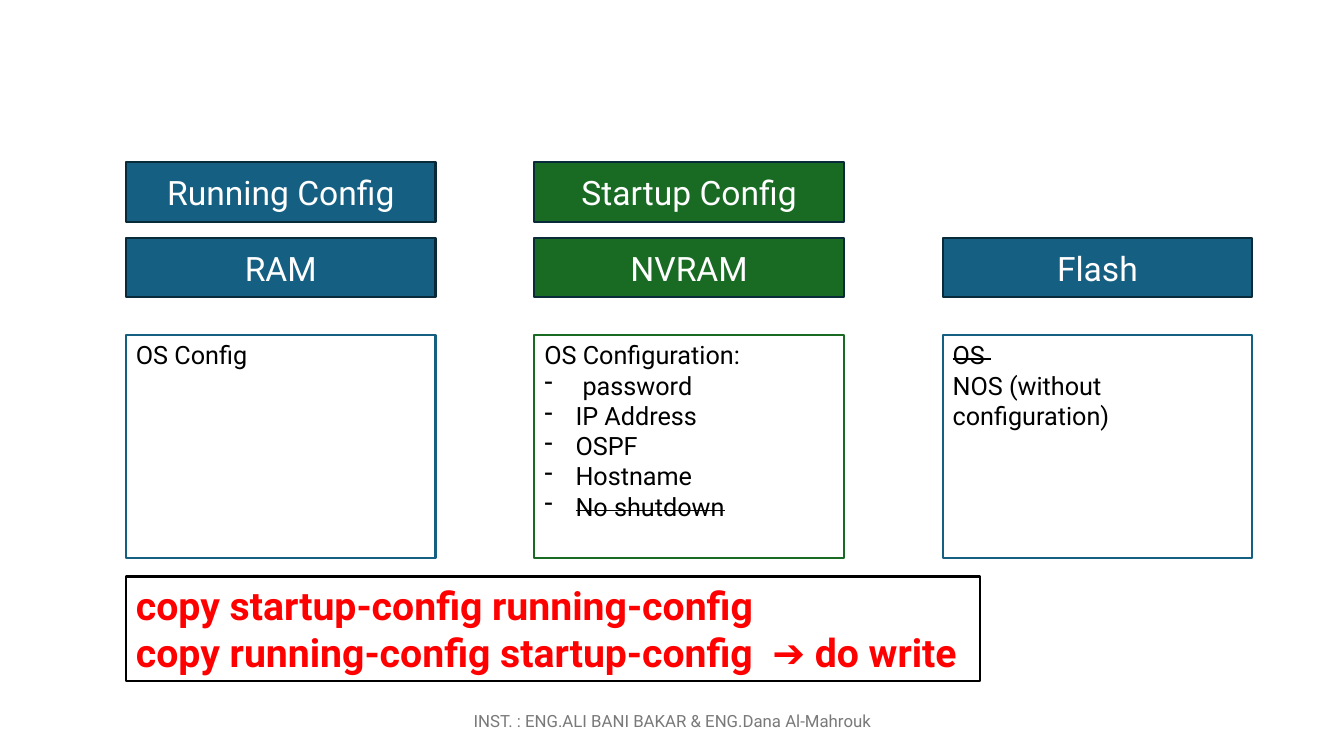
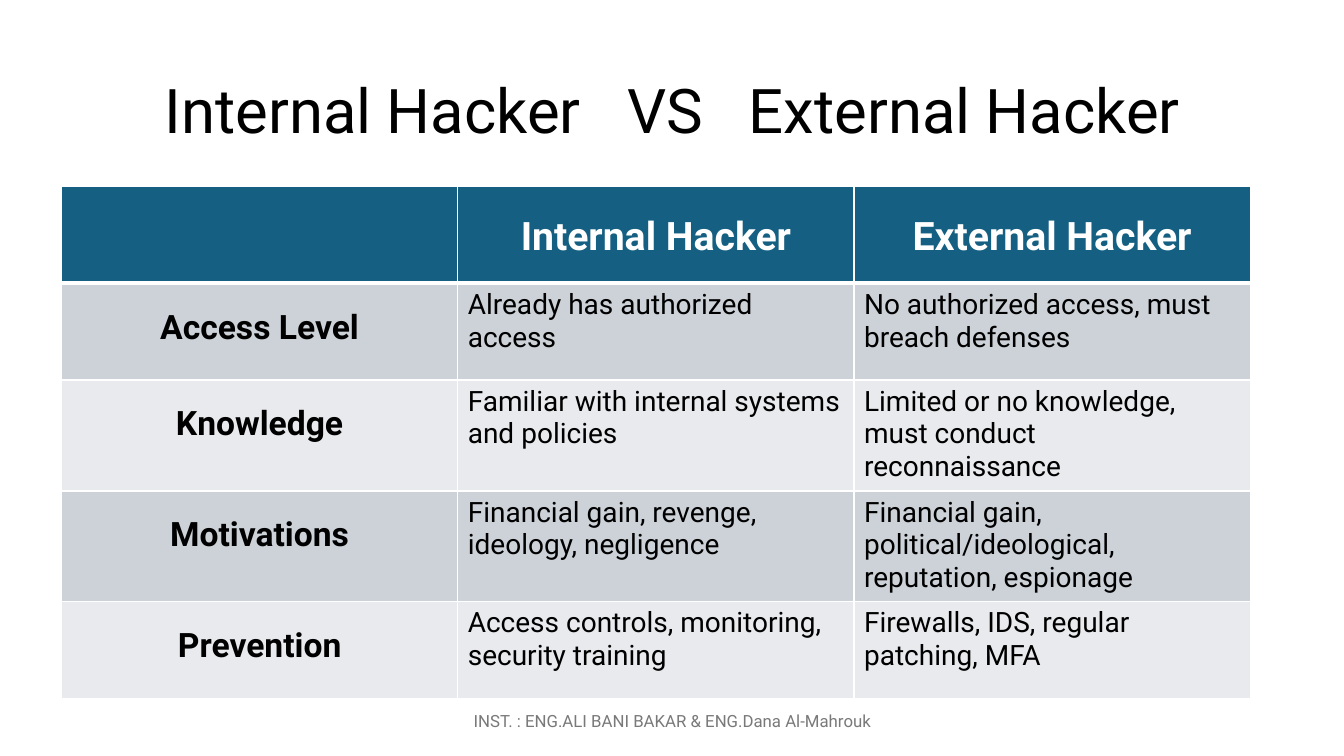
from lxml import etree
from pptx import Presentation, util as u
from pptx.dml.color import RGBColor
from pptx.enum import shapes, text
from pptx.oxml import ns

HUE = {"blue": "156082", "green": "196B24", "edge": "092A39", "white": "FFFFFF",
       "black": "000000", "red": "FF0000", "gray": "797979",
       "dark": "CCD2D8", "light": "E8EAED"}
FONT = "Roboto"
FOOT = "INST. : ENG.ALI BANI BAKAR & ENG.Dana Al-Mahrouk"

# Text styles
HEAD = {"size": 24, "hue": "white", "align": "CENTER", "anchor": "MIDDLE"}
BODY = {"size": 18, "hue": "black"}
CODE = {"size": 28, "hue": "red", "bold": True}
NOTE = {"size": 12, "hue": "gray", "align": "CENTER", "anchor": "MIDDLE"}
TITLE = {"size": 44, "hue": "black", "align": "CENTER", "anchor": "MIDDLE",
         "line": 0.9}
TOP = {"size": 28, "hue": "white", "bold": True, "align": "CENTER", "line": 1.5}
SIDE = {"size": 24, "hue": "black", "bold": True, "align": "CENTER", "line": 1.5}
CELL = {"size": 20, "hue": "black", "bold": False}

# A paragraph is (runs, dash indent); a run is (words, extra format)
CUT = {"strike": "sngStrike"}
MEMORY = [
    ("blue", ["Running Config", "RAM"], [([("OS Config", {})], 0)]),
    ("green", ["Startup Config", "NVRAM"], [
        ([("OS Configuration:", {})], 0),
        ([("password", {})], 0.38),
        ([("IP Address", {})], 0.31),
        ([("OSPF", {})], 0.31),
        ([("Hostname", {})], 0.31),
        ([("No shutdown", CUT)], 0.31)]),
    ("blue", [None, "Flash"], [
        ([("OS ", CUT)], 0),
        ([("NOS (without configuration)", {})], 0)]),
]
COPY = [
    ([("copy startup-config running-config", {})], 0),
    ([("copy running-config startup-config", {}), (" ", {"spc": "690"}),
      ("➔ do write", {})], 0),
]
WIDE = {"spc": "2180"}
VERSUS = [([("Internal Hacker", {}), (" ", WIDE), ("VS", {}), (" ", WIDE),
            ("External Hacker", {})], 0)]
ROWS = [
    ("", "Internal Hacker", "External Hacker"),
    ("Access Level", "Already has authorized access",
     "No authorized access, must breach defenses"),
    ("Knowledge", "Familiar with internal systems and policies",
     "Limited or no knowledge, must conduct reconnaissance"),
    ("Motivations", "Financial gain, revenge, ideology, negligence",
     "Financial gain, political/ideological, reputation, espionage"),
    ("Prevention", "Access controls, monitoring, security training",
     "Firewalls, IDS, regular patching, MFA"),
]


def color(name):
    return RGBColor.from_string(HUE[name])


def plain(words):
    return [([(words, {})], 0)]


def dash(para, indent):
    props = para._p.get_or_add_pPr()
    props.set("marL", str(u.Inches(indent)))
    props.set("indent", str(-u.Inches(indent)))
    etree.SubElement(props, ns.qn("a:buChar")).set("char", "-")


def write(frame, paras, style):
    for num, (runs, indent) in enumerate(paras):
        para = frame.add_paragraph() if num else frame.paragraphs[0]
        para.alignment = getattr(text.PP_ALIGN, style.get("align", "LEFT"))
        if "line" in style:
            para.line_spacing = style["line"]
        if indent:
            dash(para, indent)
        for words, extra in runs:
            run = para.add_run()
            run.text = words
            form = {"name": FONT, "size": u.Pt(style["size"]),
                    "bold": style.get("bold", False)}
            for key, val in form.items():
                setattr(run.font, key, val)
            run.font.color.rgb = color(style["hue"])
            for key, val in extra.items():
                run._r.get_or_add_rPr().set(key, val)


def box(slide, at, paras, style, fill=None, line=None):
    area = [u.Inches(n) for n in at]
    if fill:
        shape = slide.shapes.add_shape(shapes.MSO_SHAPE.RECTANGLE, *area)
        shape.shadow.inherit = False
        shape.fill.solid()
        shape.fill.fore_color.rgb = color(fill)
        shape.line.color.rgb = color(line)
        shape.line.width = u.Pt(1.5)
    else:
        shape = slide.shapes.add_textbox(*area)
    frame = shape.text_frame
    frame.word_wrap = True
    frame.vertical_anchor = getattr(text.MSO_ANCHOR, style.get("anchor", "TOP"))
    write(frame, paras, style)


def border(cell, sides):
    props = cell._tc.get_or_add_tcPr()
    for num, (side, width) in enumerate(sides.items()):
        line = etree.Element(ns.qn("a:ln" + side), w=str(u.Pt(width)))
        fill = etree.SubElement(line, ns.qn("a:solidFill"))
        etree.SubElement(fill, ns.qn("a:srgbClr")).set("val", HUE["white"])
        props.insert(num, line)


def start(deck):
    slide = deck.slides.add_slide(deck.slide_layouts[6])
    box(slide, (4.42, 6.95, 4.5, 0.4), plain(FOOT), NOTE)
    return slide


def memory(deck):
    slide = start(deck)
    left, step, wide = 1.25, 4.05, 3.07
    for col, (hue, heads, paras) in enumerate(MEMORY):
        x = left + col * step
        for row, head in enumerate(heads):
            if head:
                box(slide, (x, 1.61 + row * 0.75, wide, 0.59), plain(head),
                    HEAD, hue, "edge")
        box(slide, (x, 3.32, wide, 2.22), paras, BODY, "white", hue)
    box(slide, (left, 5.72, 8.47, 1.04), COPY, CODE, "white", "black")


def hackers(deck):
    slide = start(deck)
    box(slide, (0.92, 0.4, 11.5, 1.45), VERSUS, TITLE)
    area = [u.Inches(n) for n in (0.61, 1.85, 11.79, 4.8)]
    grid = slide.shapes.add_table(len(ROWS), len(ROWS[0]), *area).table
    grid.horz_banding = False
    for r, row in enumerate(ROWS):
        grid.rows[r].height = u.Inches(0.96)
        fill = ("dark" if r % 2 else "light") if r else "blue"
        for c, words in enumerate(row):
            cell = grid.cell(r, c)
            cell.fill.solid()
            cell.fill.fore_color.rgb = color(fill)
            border(cell, {"L": 1, "R": 1, "T": 3 if r == 1 else 1,
                          "B": 1 if r else 3})
            if words:
                style = TOP if r == 0 else CELL if c else SIDE
                write(cell.text_frame, plain(words), style)


def main():
    deck = Presentation()
    deck.slide_width, deck.slide_height = u.Inches(13.33), u.Inches(7.5)
    memory(deck)
    hackers(deck)
    deck.save("out.pptx")


if __name__ == "__main__":
    main()
